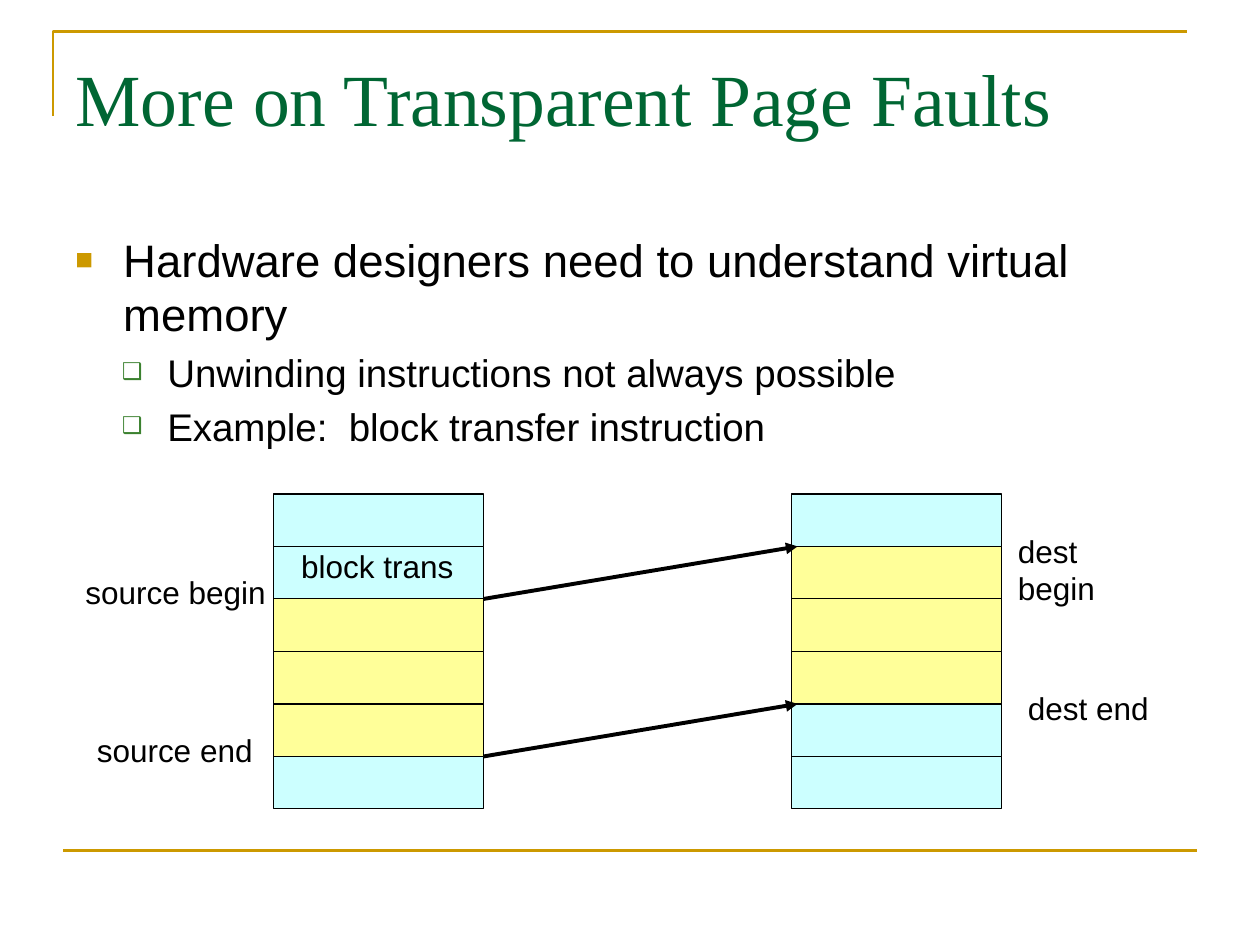
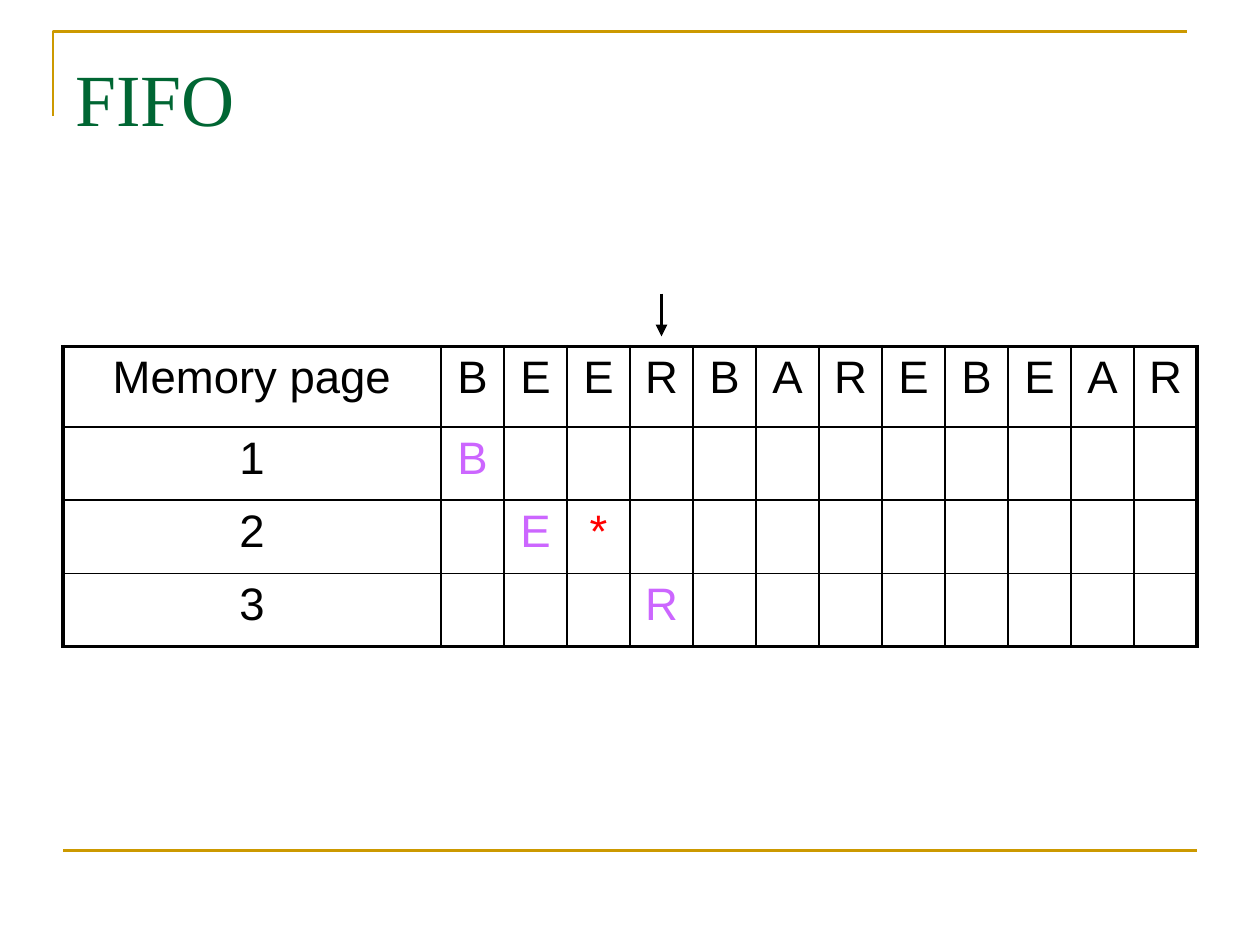
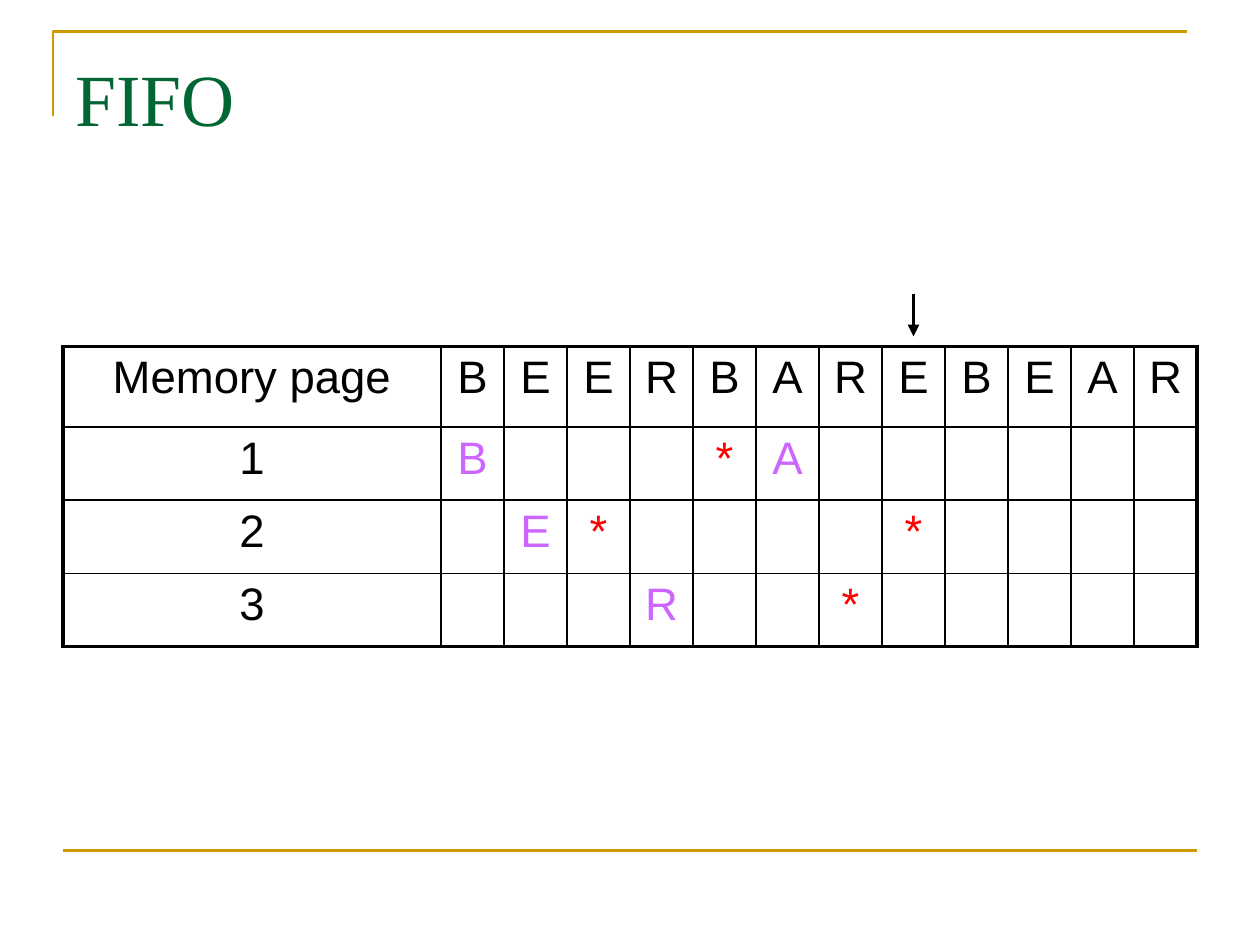
from lxml import etree
from pptx import Presentation
from pptx.dml.color import RGBColor
from pptx.enum.shapes import MSO_CONNECTOR, MSO_SHAPE
from pptx.enum.text import MSO_ANCHOR, PP_ALIGN
from pptx.oxml.ns import qn
from pptx.util import Inches, Pt

STRAIGHT = MSO_CONNECTOR.STRAIGHT
RECTANGLE = MSO_SHAPE.RECTANGLE
TOP = MSO_ANCHOR.TOP
LEFT, CENTER = PP_ALIGN.LEFT, PP_ALIGN.CENTER

BLACK = RGBColor(0x00, 0x00, 0x00)
GOLD = RGBColor(0xCC, 0x99, 0x00)
TITLE_GREEN = RGBColor(0x00, 0x66, 0x33)
BULLET_GREEN = RGBColor(0x3B, 0x81, 0x2F)
CYAN = RGBColor(0xCC, 0xFF, 0xFF)
YELLOW = RGBColor(0xFF, 0xFF, 0x99)
LOADED_PURPLE = RGBColor(0xCC, 0x66, 0xFF)
HIT_RED = RGBColor(0xFF, 0x00, 0x00)

BODY_FONT = "Arial"
TITLE_FONT = "Times New Roman"
TITLE_ONLY = 5

# level: bullet, colour, size in percent, left margin, hanging indent, text size
BULLETS = [
    ("■", GOLD, 65, 0.38, 0.38, 26),
    ("❑", BULLET_GREEN, 60, 0.73, 0.36, 22),
]

BLOCK_HEIGHT = 2.5 / 6
BLOCK_WIDTH = 1.67
REFERENCES = "BEERBAREBEAR"
LABEL_COLUMN, PAGE_COLUMN = 3, 0.5
HEADER_ROW, PAGE_ROW = 0.64, 0.58


def write_text(paragraph, text, size=18, color=BLACK, font=BODY_FONT, align=LEFT):
    paragraph.alignment = align
    run = paragraph.add_run()
    run.text = text
    run.font.size = Pt(size)
    run.font.name = font
    run.font.color.rgb = color


def add_line(slide, start, end, color=BLACK, width=2.25, arrow=False):
    line = slide.shapes.add_connector(
        STRAIGHT, *(Inches(value) for value in (*start, *end)))
    line.line.color.rgb = color
    line.line.width = Pt(width)
    properties = line._element.spPr
    if arrow:
        outline = properties.find(qn("a:ln"))
        etree.SubElement(outline, qn("a:tailEnd"), type="triangle")
    etree.SubElement(properties, qn("a:effectLst"))


def add_label(slide, text, left, top, width, align=LEFT):
    box = slide.shapes.add_textbox(
        Inches(left), Inches(top), Inches(width), Inches(0.4))
    box.text_frame.word_wrap = False
    write_text(box.text_frame.paragraphs[0], text, align=align)


# Frame and title shared by all slides
def add_titled_slide(presentation, title_text):
    slide = presentation.slides.add_slide(presentation.slide_layouts[TITLE_ONLY])
    builder = slide.shapes.build_freeform(Inches(0.42), Inches(0.92))
    builder.add_line_segments(
        [(Inches(0.42), Inches(0.25)), (Inches(9.42), Inches(0.25))], close=False)
    corner = builder.convert_to_shape()
    corner.shadow.inherit = False
    corner.fill.background()
    corner.line.color.rgb = GOLD
    corner.line.width = Pt(1.5)
    add_line(slide, (0.5, 6.75), (9.5, 6.75), color=GOLD, width=1.5)

    title = slide.shapes.title
    title.left, title.top = Inches(0.5), Inches(0.3)
    title.width, title.height = Inches(9), Inches(1.25)
    frame = title.text_frame
    frame.vertical_anchor = TOP
    frame.margin_top = Inches(0.12)
    write_text(frame.paragraphs[0], title_text,
               size=42, color=TITLE_GREEN, font=TITLE_FONT)
    return slide


# Bulleted text
def set_bullet(paragraph, level):
    character, color, percent, margin, hanging, _ = BULLETS[level]
    paragraph.level = level
    properties = paragraph._p.get_or_add_pPr()
    properties.set("marL", str(Inches(margin)))
    properties.set("indent", str(-Inches(hanging)))
    bullet_color = etree.SubElement(properties, qn("a:buClr"))
    etree.SubElement(bullet_color, qn("a:srgbClr"), val=str(color))
    etree.SubElement(properties, qn("a:buSzPct"), val=str(percent * 1000))
    etree.SubElement(properties, qn("a:buFont"), typeface=BODY_FONT)
    etree.SubElement(properties, qn("a:buChar"), char=character)


def add_bullets(slide, items, left, top, width, height):
    box = slide.shapes.add_textbox(
        Inches(left), Inches(top), Inches(width), Inches(height))
    frame = box.text_frame
    frame.word_wrap = True
    frame.margin_top = Inches(0.09)
    for index, (level, text) in enumerate(items):
        paragraph = frame.add_paragraph() if index else frame.paragraphs[0]
        set_bullet(paragraph, level)
        size = BULLETS[level][-1]
        if index:
            paragraph.space_before = Pt(0.2 * size)
        write_text(paragraph, text, size=size)


# Memory diagram
def add_memory_column(slide, left, top, colors):
    for index, color in enumerate(colors):
        block = slide.shapes.add_shape(
            RECTANGLE, Inches(left), Inches(top + index * BLOCK_HEIGHT),
            Inches(BLOCK_WIDTH), Inches(BLOCK_HEIGHT))
        block.shadow.inherit = False
        block.fill.solid()
        block.fill.fore_color.rgb = color
        block.line.color.rgb = BLACK
        block.line.width = Pt(0.75)


def add_transfer_diagram(slide, left, top):
    source, destination = left + 1.59, left + 5.7
    add_memory_column(slide, source, top, [CYAN] * 2 + [YELLOW] * 3 + [CYAN])
    add_memory_column(slide, destination, top, [CYAN] + [YELLOW] * 3 + [CYAN] * 2)
    add_label(slide, "source begin", left, top + 0.58, 1.63)
    add_label(slide, "source end", left + 0.09, top + 1.83, 1.44)
    add_label(slide, "block trans", left + 1.71, top + 0.37, 1.41, align=CENTER)
    add_label(slide, "dest begin", left + 7.4, top + 0.25, 1.35)
    add_label(slide, "dest end", left + 7.48, top + 1.5, 1.16)
    for source_row in (2, 5):
        add_line(slide,
                 (source + BLOCK_WIDTH, top + source_row * BLOCK_HEIGHT),
                 (destination + 0.05, top + (source_row - 1) * BLOCK_HEIGHT),
                 arrow=True)


# Page replacement table
def set_borders(cell, widths):
    properties = cell._tc.get_or_add_tcPr()
    for side, width in widths.items():
        border = etree.SubElement(properties, qn(f"a:ln{side}"), w=str(Pt(width)))
        fill = etree.SubElement(border, qn("a:solidFill"))
        etree.SubElement(fill, qn("a:srgbClr"), val=str(BLACK))


def add_page_table(slide, left, top, page_rows, current):
    """Each page row has one mark per reference: a letter, * for a hit, or a space."""
    rows = [["Memory page", *REFERENCES]]
    rows += [[str(number), *marks.ljust(len(REFERENCES))]
             for number, marks in enumerate(page_rows, 1)]
    widths = [LABEL_COLUMN] + [PAGE_COLUMN] * len(REFERENCES)
    heights = [HEADER_ROW] + [PAGE_ROW] * len(page_rows)
    table = slide.shapes.add_table(
        len(rows), len(widths), Inches(left), Inches(top),
        Inches(sum(widths)), Inches(sum(heights))).table
    table.first_row = table.horz_banding = False
    for column, width in zip(table.columns, widths):
        column.width = Inches(width)
    for row, height in zip(table.rows, heights):
        row.height = Inches(height)

    last_row, last_column = len(rows) - 1, len(widths) - 1
    for row_index, texts in enumerate(rows):
        for column_index, text in enumerate(texts):
            cell = table.cell(row_index, column_index)
            outer = {"L": column_index == 0, "R": column_index == last_column,
                     "T": row_index == 0, "B": row_index == last_row}
            set_borders(cell, {side: 2.25 if edge else 1
                               for side, edge in outer.items()})
            cell.fill.background()
            if text == " ":
                continue
            color = BLACK
            if row_index and column_index:
                color = HIT_RED if text == "*" else LOADED_PURPLE
            write_text(cell.text_frame.paragraphs[0], text,
                       size=26, color=color, align=CENTER)

    # Arrow above the current reference
    center = left + LABEL_COLUMN + (current + 0.5) * PAGE_COLUMN
    add_line(slide, (center, top - 0.42), (center, top - 0.08), arrow=True)


def add_fifo_slide(presentation, page_rows, current):
    slide = add_titled_slide(presentation, "FIFO")
    add_page_table(slide, 0.5, 2.75, page_rows, current)


def add_page_fault_slide(presentation):
    slide = add_titled_slide(presentation, "More on Transparent Page Faults")
    add_bullets(slide, [
        (0, "Hardware designers need to understand virtual memory"),
        (1, "Unwinding instructions not always possible"),
        (1, "Example:  block transfer instruction"),
    ], 0.5, 1.75, 9, 4.95)
    add_transfer_diagram(slide, 0.58, 3.92)


def main():
    presentation = Presentation()
    presentation.slide_width = Inches(10)
    presentation.slide_height = Inches(7.5)
    add_page_fault_slide(presentation)
    add_fifo_slide(presentation, ["B", " E*", "   R"], current=3)
    add_fifo_slide(presentation, ["B   *A", " E*    *", "   R  *"], current=7)
    presentation.save("out.pptx")


if __name__ == "__main__":
    main()
